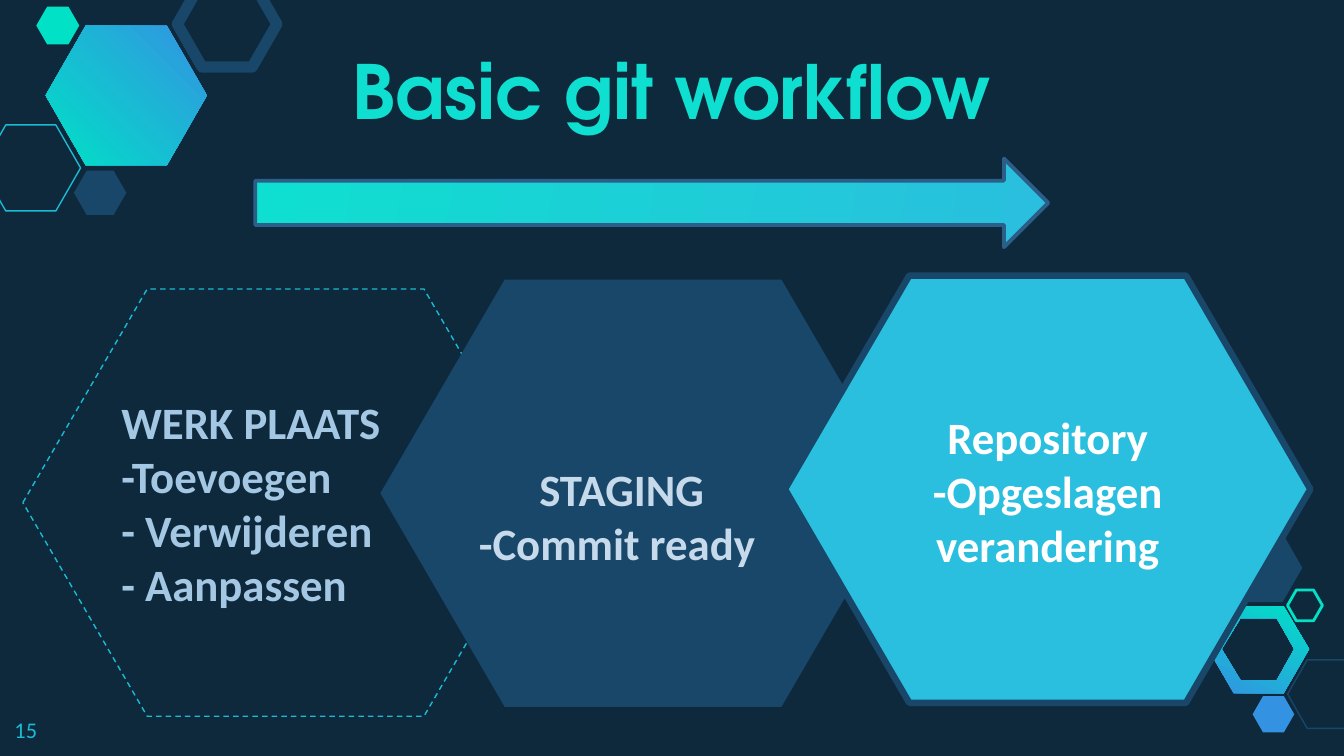
from pptx import Presentation
from pptx.dml.color import RGBColor
from pptx.enum.dml import MSO_LINE
from pptx.enum.shapes import MSO_SHAPE as SHAPE
from pptx.enum.text import MSO_ANCHOR as ANCHOR, MSO_AUTO_SIZE, PP_ALIGN as ALIGN
from pptx.util import Inches, Pt


class Theme:
    night, navy, steel = "0E293C", "184769", "2B5F8A"
    cyan, sky, blue = "19BBD5", "2ABFDE", "3393E2"
    mint, turquoise = "00E1C6", "0FDFD0"
    mist, pale, white = "A4C7E3", "C6DAEC", "FFFFFF"
    heading, body = "TeX Gyre Adventor", "Calibri"
    title_size, step_size, number_size = Pt(40), Pt(24), Pt(12)


def paint(shape, fill=None, line=None, width=0.75, angle=0):
    """Fill is one colour, a pair for a gradient, or None."""
    shape.shadow.inherit = False
    if isinstance(fill, tuple):
        shape.fill.gradient()
        shape.fill.gradient_angle = angle
        for stop, colour, position in zip(shape.fill.gradient_stops, fill, (0, 1)):
            stop.color.rgb = RGBColor.from_string(colour)
            stop.position = position
    elif fill:
        shape.fill.solid()
        shape.fill.fore_color.rgb = RGBColor.from_string(fill)
    else:
        shape.fill.background()
    if line:
        shape.line.color.rgb = RGBColor.from_string(line)
        shape.line.width = Pt(width)
    else:
        shape.line.fill.background()


def write(frame, text, font, size, colour, bold=True, align=ALIGN.LEFT):
    """In the text, \\n starts a paragraph and \\v breaks a line."""
    frame.word_wrap = True
    frame.auto_size = MSO_AUTO_SIZE.NONE
    frame.margin_left = frame.margin_right = Inches(0.1)
    frame.margin_top = frame.margin_bottom = Inches(0.1)
    frame.text = text
    for para in frame.paragraphs:
        para.alignment = align
        para.font.name, para.font.size, para.font.bold = font, size, bold
        para.font.color.rgb = RGBColor.from_string(colour)


deck = Presentation()
deck.slide_width = Inches(10)
deck.slide_height = deck.slide_width * 9 // 16
page = deck.slides.add_slide(deck.slide_layouts[5])
page.background.fill.solid()
page.background.fill.fore_color.rgb = RGBColor.from_string(Theme.night)

# Hexagon ring in the lower right corner: outer edge, then the hole
outer = [(9.18, 5.16), (8.99, 4.83), (9.18, 4.51), (9.55, 4.51), (9.74, 4.83), (9.55, 5.16)]
hole = [(9.23, 5.06), (9.5, 5.06), (9.63, 4.83), (9.5, 4.6), (9.23, 4.6), (9.09, 4.83)]
outer, hole = [[(Inches(x), Inches(y)) for x, y in edge] for edge in (outer, hole)]
builder = page.shapes.build_freeform(*outer[0])
builder.add_line_segments(outer[1:], close=True)
builder.move_to(*hole[0])
builder.add_line_segments(hole[1:], close=True)
paint(builder.convert_to_shape(), (Theme.blue, Theme.mint), angle=64)

# Decorative hexagons: left, top, width, height, fill, line, line width
decorations = [
    (0.34, 0.19, 1.2, 1.04, (Theme.blue, Theme.mint), None, 0),
    (-0.14, 0.93, 0.74, 0.64, None, Theme.cyan, 0.75),
    (0.55, 1.27, 0.39, 0.33, Theme.navy, None, 0),
    (1.32, -0.14, 0.74, 0.64, None, Theme.navy, 6),
    (0.27, 0.05, 0.32, 0.28, Theme.mint, None, 0),
    (9.58, 4.91, 0.59, 0.51, None, Theme.navy, 0.75),
    (9.32, 5.18, 0.31, 0.27, Theme.blue, None, 0),
    (9.1, 3.97, 0.59, 0.51, Theme.navy, None, 0),
    (9.58, 4.39, 0.26, 0.23, None, Theme.mint, 1.5),
]
for *place, fill, line, width in decorations:
    hexagon = page.shapes.add_shape(SHAPE.HEXAGON, *map(Inches, place))
    hexagon.adjustments[0] = 0.287
    paint(hexagon, fill, line, width, angle=225)

# Title
title = page.shapes.title
title.left, title.top = Inches(1.37), Inches(0.39)
title.width, title.height = Inches(7.26), Inches(0.71)
write(title.text_frame, "Basic git workflow", Theme.heading, Theme.title_size,
      Theme.turquoise, align=ALIGN.CENTER)
title.text_frame.vertical_anchor = ANCHOR.BOTTOM

# Workflow steps: left, top, fill, line, line width, colour, alignment, top margin, text
steps = [
    (0.17, 2.15, None, Theme.cyan, 0.75, Theme.mist, ALIGN.LEFT, 0.1,
     "WERK PLAATS\v-Toevoegen\n- Verwijderen\v- Aanpassen"),
    (2.83, 2.08, Theme.navy, None, 0, Theme.pale, ALIGN.LEFT, 0.43,
     "STAGING\v-Commit ready"),
    (5.84, 2.05, Theme.sky, Theme.navy, 3.5, Theme.white, ALIGN.CENTER, 0.12,
     "Repository\n-Opgeslagen verandering"),
]
hexagons = []
for left, top, fill, line, width, colour, align, margin, text in steps:
    step = page.shapes.add_shape(SHAPE.HEXAGON, Inches(left), Inches(top),
                                 Inches(3.91), Inches(3.18))
    step.adjustments[0] = 0.291
    paint(step, fill, line, width)
    write(step.text_frame, text, Theme.body, Theme.step_size, colour, align=align)
    step.text_frame.vertical_anchor = ANCHOR.MIDDLE
    step.text_frame.margin_top = Inches(margin)
    hexagons.append(step)
workplace, staging, repository = hexagons
workplace.line.dash_style = MSO_LINE.DASH

# First-line indent of the staging text
indented = staging.text_frame.paragraphs[0]._p.get_or_add_pPr()
indented.set("marL", "0")
indented.set("indent", str(Inches(0.45)))

# Direction arrow
arrow = page.shapes.add_shape(SHAPE.RIGHT_ARROW, Inches(1.9), Inches(1.18),
                              Inches(5.9), Inches(0.66))
paint(arrow, (Theme.sky, Theme.turquoise), Theme.steel, 2, angle=170)

# Page number
number = page.shapes.add_textbox(Inches(0.01), Inches(5.23), Inches(0.6), Inches(0.39))
write(number.text_frame, "15", Theme.body, Theme.number_size, Theme.cyan, bold=False)

deck.save("out.pptx")
